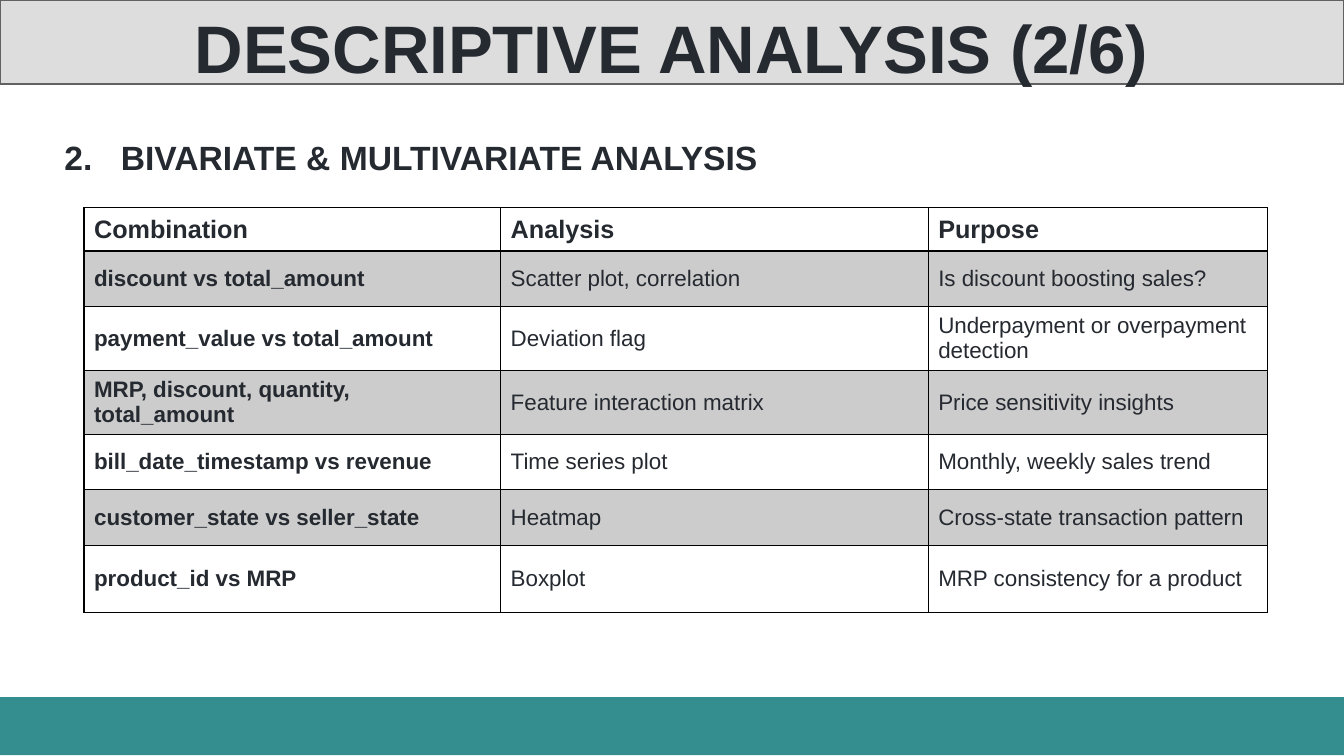
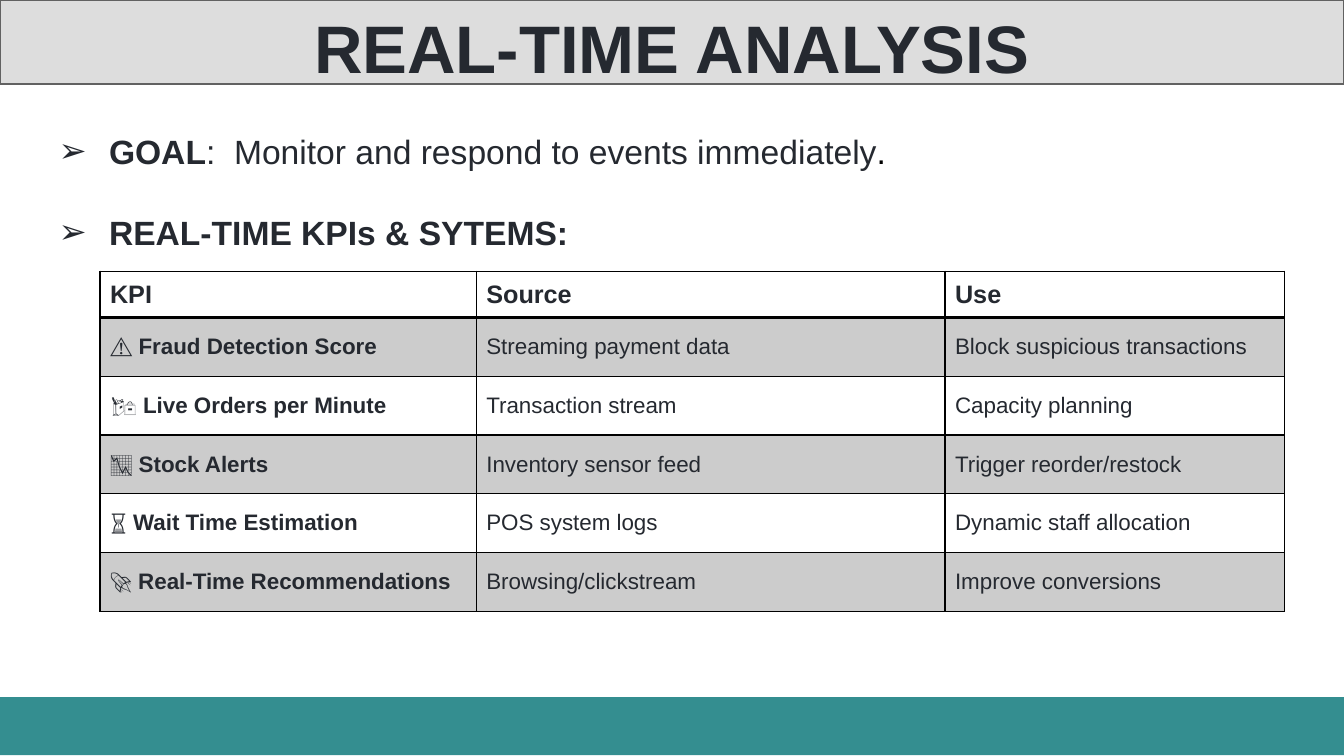
from dataclasses import dataclass
from typing import Optional

from lxml.etree import SubElement
from pptx import Presentation
from pptx.dml.color import RGBColor
from pptx.enum.shapes import MSO_SHAPE
from pptx.enum.text import MSO_ANCHOR, MSO_AUTO_SIZE, PP_ALIGN
from pptx.oxml.ns import qn
from pptx.util import Inches, Pt


@dataclass(frozen=True)
class Theme:
    font: str = "Arial"
    ink: str = "252930"
    black: str = "000000"
    title_fill: str = "DDDDDD"
    title_line: str = "616161"
    footer_fill: str = "348E90"
    stripe: str = "CCCCCC"
    title_size: float = 48
    heading_size: float = 24
    header_size: float = 18
    body_size: float = 16
    title_spacing: float = 64.3
    thin: float = 1
    thick: float = 2


@dataclass(frozen=True)
class Box:
    """A place on the slide grid, in columns and rows."""
    left: float
    top: float
    width: float
    height: float


@dataclass(frozen=True)
class Run:
    text: str
    bold: bool = True
    color: Optional[str] = None


@dataclass(frozen=True)
class Item:
    """A heading line: a number if start is given, otherwise an arrow bullet."""
    runs: tuple
    start: Optional[int] = None
    spacing: float = 1


@dataclass(frozen=True)
class Grid:
    left: float
    top: float
    columns: tuple
    rows: tuple
    cells: tuple


@dataclass(frozen=True)
class Page:
    title: str
    items_box: Box
    indent: float
    items: tuple
    table: Grid


THEME = Theme()
SLIDE_WIDTH, SLIDE_HEIGHT = Inches(13.33), Inches(7.5)
COLUMNS, ROWS = 160, 90
TITLE_BOX = Box(0, 0, COLUMNS, 10)
FOOTER_BOX = Box(0, 83, COLUMNS, 6.9)

PAGES = (
    Page(
        "DESCRIPTIVE ANALYSIS (2/6)",
        Box(6.5, 15.7, 144.5, 6), 6.7,
        (Item((Run("BIVARIATE & MULTIVARIATE ANALYSIS"),), start=2),),
        Grid(10, 24.7, (49.6, 50.9, 40.4), (5.2, 6.6, 7.1, 6.6, 6.6, 6.6, 8), (
            ("Combination", "Analysis", "Purpose"),
            ("discount vs total_amount", "Scatter plot, correlation", "Is discount boosting sales?"),
            ("payment_value vs total_amount", "Deviation flag", "Underpayment or overpayment detection"),
            ("MRP, discount, quantity, total_amount", "Feature interaction matrix", "Price sensitivity insights"),
            ("bill_date_timestamp vs revenue", "Time series plot", "Monthly, weekly sales trend"),
            ("customer_state vs seller_state", "Heatmap", "Cross-state transaction pattern"),
            ("product_id vs MRP", "Boxplot", "MRP consistency for a product"),
        )),
    ),
    Page(
        "REAL-TIME ANALYSIS",
        Box(5.8, 15, 121.2, 14.4), 6,
        (
            Item((Run("GOAL"), Run(":  Monitor and respond to events immediately", bold=False),
                  Run(".", bold=False, color=THEME.black))),
            Item((Run("REAL-TIME KPIs & SYTEMS:"),), spacing=2),
        ),
        Grid(11.9, 32.3, (44.8, 55.8, 40.4), (5.5,) + (7,) * 5, (
            ("KPI", "Source", "Use"),
            ("⚠️ Fraud Detection Score", "Streaming payment data", "Block suspicious transactions"),
            ("🛍️ Live Orders per Minute", "Transaction stream", "Capacity planning"),
            ("📉 Stock Alerts", "Inventory sensor feed", "Trigger reorder/restock"),
            ("⏳ Wait Time Estimation", "POS system logs", "Dynamic staff allocation"),
            ("🚀 Real-Time Recommendations", "Browsing/clickstream", "Improve conversions"),
        )),
    ),
)


def across(columns: float) -> int:
    return round(SLIDE_WIDTH * columns / COLUMNS)


def down(rows: float) -> int:
    return round(SLIDE_HEIGHT * rows / ROWS)


def place(box: Box) -> tuple:
    return across(box.left), down(box.top), across(box.width), down(box.height)


def write(paragraph, text: str, *, size: float, bold: bool = False,
          color: str = THEME.ink, align=PP_ALIGN.LEFT, spacing=None) -> None:
    """Add one formatted run to a paragraph."""
    run = paragraph.add_run()
    run.text = text
    run.font.name = THEME.font
    run.font.size = Pt(size)
    run.font.bold = bold
    run.font.color.rgb = RGBColor.from_string(color)
    paragraph.alignment = align
    if spacing is not None:
        paragraph.line_spacing = spacing


def add_footer_band(slide, layout) -> None:
    """Draw the band once and hand it to the layout, for every slide."""
    band = slide.shapes.add_shape(MSO_SHAPE.RECTANGLE, *place(FOOTER_BOX))
    band.shadow.inherit = False
    band.fill.solid()
    band.fill.fore_color.rgb = RGBColor.from_string(THEME.footer_fill)
    band.line.fill.background()
    band.element.xpath("./p:nvSpPr/p:cNvPr")[0].set("id", "90")
    layout.shapes.element.append(band.element)


def format_title(slide, text: str) -> None:
    title = slide.shapes.title
    title.left, title.top, title.width, title.height = place(TITLE_BOX)
    title.fill.solid()
    title.fill.fore_color.rgb = RGBColor.from_string(THEME.title_fill)
    title.line.color.rgb = RGBColor.from_string(THEME.title_line)
    title.line.width = Pt(THEME.thick)
    frame = title.text_frame
    frame.auto_size = MSO_AUTO_SIZE.NONE
    frame.vertical_anchor = MSO_ANCHOR.MIDDLE
    write(frame.paragraphs[0], text, size=THEME.title_size, bold=True,
          align=PP_ALIGN.CENTER, spacing=Pt(THEME.title_spacing))


def set_bullet(paragraph, indent: float, start: Optional[int]) -> None:
    properties = paragraph._p.get_or_add_pPr()
    properties.set("marL", str(across(indent)))
    properties.set("indent", str(-across(indent)))
    if start is None:
        SubElement(properties, qn("a:buFont"), typeface=THEME.font)
        SubElement(properties, qn("a:buChar"), char="➢")
    else:
        SubElement(properties, qn("a:buAutoNum"), type="arabicPeriod", startAt=str(start))


def add_items(slide, page: Page) -> None:
    frame = slide.shapes.add_textbox(*place(page.items_box)).text_frame
    frame.word_wrap = True
    for index, item in enumerate(page.items):
        paragraph = frame.add_paragraph() if index else frame.paragraphs[0]
        for run in item.runs:
            write(paragraph, run.text, size=THEME.heading_size, bold=run.bold,
                  color=run.color or THEME.ink, spacing=item.spacing)
        set_bullet(paragraph, page.indent, item.start)


def set_borders(cell, row: int) -> None:
    """Thin lines all round, with a thick rule under the header row."""
    properties = cell._tc.get_or_add_tcPr()
    thick_side = {0: "lnB", 1: "lnT"}.get(row)
    for side in ("lnL", "lnR", "lnT", "lnB"):
        width = THEME.thick if side == thick_side else THEME.thin
        line = SubElement(properties, qn(f"a:{side}"), w=str(Pt(width)))
        fill = SubElement(line, qn("a:solidFill"))
        SubElement(fill, qn("a:srgbClr"), val=THEME.black)


def add_grid(slide, grid: Grid) -> None:
    box = Box(grid.left, grid.top, sum(grid.columns), sum(grid.rows))
    table = slide.shapes.add_table(len(grid.rows), len(grid.columns), *place(box)).table
    table.first_row = table.horz_banding = False
    for column, width in zip(table.columns, grid.columns):
        column.width = across(width)
    for row, height in zip(table.rows, grid.rows):
        row.height = down(height)
    for row_index, texts in enumerate(grid.cells):
        header = row_index == 0
        for column_index, text in enumerate(texts):
            cell = table.cell(row_index, column_index)
            cell.vertical_anchor = MSO_ANCHOR.MIDDLE
            write(cell.text_frame.paragraphs[0], text,
                  size=THEME.header_size if header else THEME.body_size,
                  bold=header or column_index == 0)
            set_borders(cell, row_index)
            # Odd rows are striped, the others stay clear
            if row_index % 2:
                cell.fill.solid()
                cell.fill.fore_color.rgb = RGBColor.from_string(THEME.stripe)
            else:
                cell.fill.background()


def main() -> None:
    presentation = Presentation()
    presentation.slide_width, presentation.slide_height = SLIDE_WIDTH, SLIDE_HEIGHT
    layout = presentation.slide_layouts.get_by_name("Title Only")
    for index, page in enumerate(PAGES):
        slide = presentation.slides.add_slide(layout)
        if index == 0:
            add_footer_band(slide, layout)
        format_title(slide, page.title)
        add_items(slide, page)
        add_grid(slide, page.table)
    presentation.save("out.pptx")


if __name__ == "__main__":
    main()
